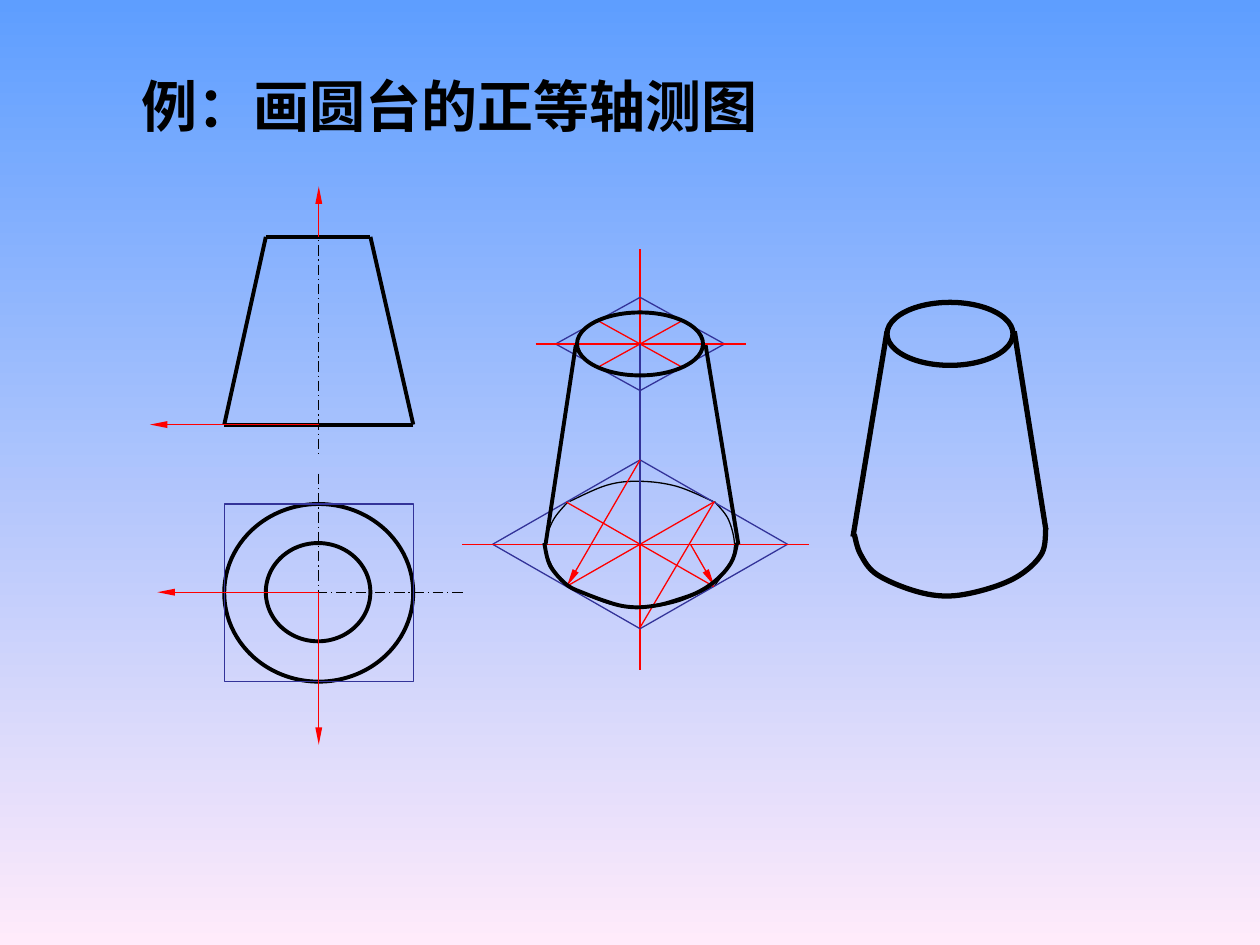
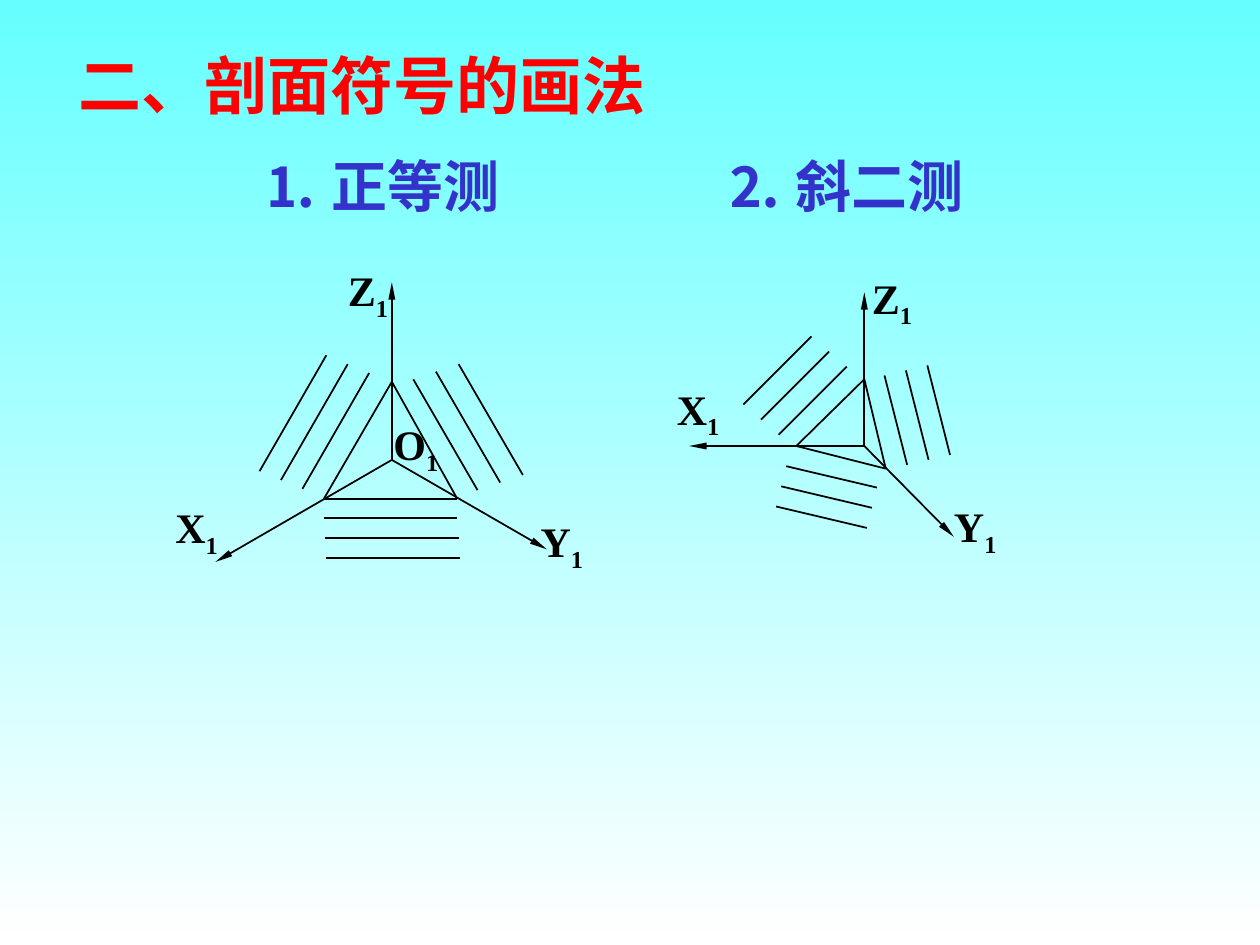
from dataclasses import dataclass

from lxml import etree
from pptx import Presentation
from pptx import util as u
from pptx.dml.color import RGBColor
from pptx.enum import dml, shapes, text
from pptx.oxml.ns import qn


@dataclass(frozen=True)
class Theme:
    font: str = "Times New Roman"
    black: str = "000000"
    red: str = "FF0000"
    navy: str = "333399"
    blue: str = "3333CC"
    sky: tuple = ("5E9EFF", "FFEBFA")
    aqua: tuple = ("66FFFF", "FFFFFF")
    head: int = 36
    sub: int = 32
    label: int = 24
    thin: float = 0.75
    axis: float = 1
    thick: float = 2.25
    bold: float = 3


T = Theme()
MID = text.MSO_ANCHOR.MIDDLE
LEFT, CENTER = text.PP_ALIGN.LEFT, text.PP_ALIGN.CENTER


# Slide and text
def add_page(prs, colors):
    slide = prs.slides.add_slide(prs.slide_layouts[5])
    fill = slide.background.fill
    fill.gradient()
    fill.gradient_angle = 270
    for stop, pos, color in zip(fill.gradient_stops, (0, 1), colors):
        stop.position = pos
        stop.color.rgb = RGBColor.from_string(color)
    return slide


def set_text(shape, words, size, color, align=LEFT, anchor=MID, sub=None):
    frame = shape.text_frame
    frame.word_wrap = True
    frame.auto_size = text.MSO_AUTO_SIZE.NONE
    frame.vertical_anchor = anchor
    para = frame.paragraphs[0]
    para.alignment = align
    para.add_run().text = words
    if sub:
        run = para.add_run()
        run.text = sub
        run._r.get_or_add_rPr().set("baseline", "-25000")
    font = para.font
    font.name, font.size, font.bold = T.font, u.Pt(size), True
    font.color.rgb = RGBColor.from_string(color)


def set_title(slide, box, words, size, color, anchor=MID):
    title = slide.shapes.title
    title.left, title.top, title.width, title.height = map(u.Inches, box)
    set_text(title, words, size, color, anchor=anchor)


def add_text(slide, box, words, size, color, **opts):
    shape = slide.shapes.add_textbox(*map(u.Inches, box))
    set_text(shape, words, size, color, **opts)


def add_label(slide, x, y, letter):
    add_text(slide, (x, y, 0.6, 0.56), letter, T.label, T.black,
             align=CENTER, sub="1")


# Lines and outlines
def set_line(shape, color, width):
    shape.line.color.rgb = RGBColor.from_string(color)
    shape.line.width = u.Pt(width)


def add_line(slide, start, end, color=T.black, width=T.thin,
             arrow=False, dash=False):
    line = slide.shapes.add_connector(
        shapes.MSO_CONNECTOR.STRAIGHT, *map(u.Inches, (*start, *end)))
    set_line(line, color, width)
    if dash:
        line.line.dash_style = dml.MSO_LINE.LONG_DASH_DOT
    if arrow:
        etree.SubElement(line.line._get_or_add_ln(), qn("a:tailEnd"),
                         type="triangle", w="sm", len="lg")
    etree.SubElement(line._element.spPr, qn("a:effectLst"))


def add_loop(slide, points, color=T.black, width=T.thin):
    for start, end in zip(points, points[1:] + points[:1]):
        add_line(slide, start, end, color, width)


def add_shape(slide, kind, box, color=T.black, width=T.thick):
    shape = slide.shapes.add_shape(kind, *map(u.Inches, box))
    shape.shadow.inherit = False
    shape.fill.background()
    set_line(shape, color, width)


def add_oval(slide, *box, width=T.thick):
    add_shape(slide, shapes.MSO_SHAPE.OVAL, box, width=width)


def bend(curve):
    """Turn the straight segments of a freeform into smooth Bezier ones."""
    route = curve._element.find(".//" + qn("a:path"))
    knots = [(int(p.get("x")), int(p.get("y")))
             for p in route.iter(qn("a:pt"))]
    for seg in route.findall(qn("a:lnTo")):
        route.remove(seg)
    ends = [knots[0], *knots, knots[-1]]
    for a, b, c, d in zip(ends, ends[1:], ends[2:], ends[3:]):
        out = [q + (r - p) / 6 for p, q, r in zip(a, b, c)]
        back = [q - (r - p) / 6 for p, q, r in zip(b, c, d)]
        seg = etree.SubElement(route, qn("a:cubicBezTo"))
        for x, y in (out, back, c):
            etree.SubElement(seg, qn("a:pt"), x=str(round(x)), y=str(round(y)))


def add_curve(slide, knots, width=T.thin):
    points = [(u.Inches(x), u.Inches(y)) for x, y in knots]
    build = slide.shapes.build_freeform(*points[0], scale=1)
    build.add_line_segments(points[1:], close=False)
    curve = build.convert_to_shape()
    bend(curve)
    curve.shadow.inherit = False
    curve.fill.background()
    set_line(curve, T.black, width)


# Parts of the cone drawing
def draw_views(slide):
    x, y = 2.53, 4.7
    for start, end in (((x, 1.64), (x, 3.61)), ((1.44, y), (3.69, y)),
                       ((x, 3.76), (x, 5.57))):
        add_line(slide, start, end, dash=True)
    add_loop(slide, [(2.11, 1.88), (2.94, 1.88), (3.28, 3.37), (1.78, 3.37)],
             width=T.thick)
    add_oval(slide, 1.78, 4, 1.5, 1.41)
    add_oval(slide, 2.11, 4.31, 0.83, 0.78)
    add_shape(slide, shapes.MSO_SHAPE.RECTANGLE, (1.78, 4, 1.5, 1.41),
              T.navy, T.thin)
    for start, end in (((x, y), (x, 5.91)), ((x, 1.88), (x, 1.48)),
                       ((x, 3.37), (1.19, 3.37)), ((x, y), (1.25, y))):
        add_line(slide, start, end, T.red, arrow=True)


def draw_rhomb(slide, x, y, dx, dy, left, right):
    """Rhombus with its mid lines and horizontal axis."""
    add_loop(slide, [(x - dx, y), (x, y - dy), (x + dx, y), (x, y + dy)],
             T.navy)
    for side in (dy / 2, -dy / 2):
        add_line(slide, (x - dx / 2, y - side), (x + dx / 2, y + side), T.red)
    add_line(slide, (left, y), (right, y), T.red)


def draw_cone(slide):
    x, top, base = 5.08, 2.73, 4.32
    for arc in (
        [(4.52, 3.98), (4.82, 3.85), (5.08, 3.82), (5.37, 3.86), (5.66, 3.98)],
        [(4.5, 4.65), (4.83, 4.79), (5.08, 4.82), (5.37, 4.78), (5.67, 4.65)],
        [(5.67, 4.65), (5.79, 4.48), (5.83, 4.32), (5.78, 4.12), (5.67, 3.98)],
        [(4.5, 4.65), (4.38, 4.49), (4.33, 4.32), (4.39, 4.13), (4.51, 3.98)],
    ):
        add_curve(slide, arc)
    add_line(slide, (x, 1.98), (x, 5.32), T.red)
    draw_rhomb(slide, x, base, 1.17, 0.67, 3.67, 6.42)
    draw_rhomb(slide, x, top, 0.67, 0.37, 4.25, 5.92)
    add_line(slide, (x, top), (x, base), T.navy)
    # Compass radii of the four arcs
    add_line(slide, (x, 4.98), (5.67, 3.98), T.red)
    add_line(slide, (x, 3.65), (4.5, 4.65), T.red, arrow=True)
    add_line(slide, (5.48, base), (5.67, 4.65), T.red, arrow=True)
    # Visible outline
    add_curve(slide, [
        (4.32, 4.31), (4.35, 4.45), (4.4, 4.54), (4.51, 4.65), (4.64, 4.71),
        (4.8, 4.77), (4.94, 4.81), (5.08, 4.82), (5.24, 4.8), (5.38, 4.76),
        (5.52, 4.71), (5.64, 4.64), (5.74, 4.55), (5.8, 4.47), (5.83, 4.4),
        (5.85, 4.31)], T.thick)
    for width in (T.thin, T.thick):
        add_oval(slide, 4.58, 2.48, 1, 0.5, width=width)
        add_line(slide, (4.57, 2.74), (4.33, base), width=width)
        add_line(slide, (5.6, 2.74), (5.86, base), width=width)


def draw_result(slide):
    add_curve(slide, [
        (6.78, 4.24), (6.83, 4.4), (6.96, 4.56), (7.26, 4.69), (7.54, 4.73),
        (7.85, 4.67), (8.1, 4.56), (8.27, 4.39), (8.3, 4.19)], T.bold)
    add_oval(slide, 7.04, 2.4, 1, 0.5, width=T.bold)
    add_line(slide, (7.04, 2.63), (6.77, 4.26), width=T.bold)
    add_line(slide, (8.05, 2.63), (8.3, 4.2), width=T.bold)


# Parts of the hatching drawings
def draw_axes(slide, origin, tips, labels):
    for tip in tips:
        add_line(slide, origin, tip, width=T.axis, arrow=True)
    for letter, x, y in labels:
        add_label(slide, x, y, letter)


def draw_hatch(slide, start, step, run, count=3):
    for i in range(count):
        x, y = (s + i * d for s, d in zip(start, step))
        add_line(slide, (x, y), (x + run[0], y + run[1]), width=T.axis)


def draw_iso(slide):
    add_text(slide, (1.99, 1.15, 2.1, 0.64), "⒈ 正等测", T.sub, T.blue)
    draw_axes(slide, (3.11, 3.65), [(3.11, 2.24), (1.71, 4.46), (4.34, 4.36)],
              [("Y", 4.16, 4.04), ("X", 1.26, 3.93), ("Z", 2.62, 2.05),
               ("O", 3, 3.27)])
    add_loop(slide, [(3.11, 3.03), (2.57, 3.96), (3.63, 3.96)], width=T.axis)
    draw_hatch(slide, (2.93, 2.96), (-0.17, -0.07), (-0.53, 0.92))
    draw_hatch(slide, (3.28, 3.01), (0.18, -0.06), (0.51, 0.88))
    draw_hatch(slide, (2.57, 4.11), (0.01, 0.16), (1.06, 0))


def draw_oblique(slide):
    add_text(slide, (5.66, 1.15, 2.1, 0.64), "⒉ 斜二测", T.sub, T.blue,
             align=CENTER)
    draw_axes(slide, (6.86, 3.54), [(5.47, 3.54), (6.86, 2.32), (7.57, 4.26)],
              [("Z", 6.78, 2.11), ("X", 5.24, 2.99), ("Y", 7.44, 3.92)])
    add_loop(slide, [(6.86, 3.01), (6.32, 3.54), (7.03, 3.72)], width=T.axis)
    draw_hatch(slide, (6.72, 2.91), (-0.14, -0.12), (-0.54, 0.54))
    draw_hatch(slide, (7.02, 2.98), (0.17, -0.04), (0.18, 0.71))
    draw_hatch(slide, (6.24, 3.7), (-0.04, 0.16), (0.72, 0.17))


def main():
    prs = Presentation()
    prs.slide_width, prs.slide_height = u.Inches(10), u.Inches(7.5)

    # Cone frustum
    slide = add_page(prs, T.sky)
    set_title(slide, (1.02, 0.52, 5.3, 0.64), "例：画圆台的正等轴测图",
              T.sub, T.black, text.MSO_ANCHOR.TOP)
    draw_views(slide)
    draw_cone(slide)
    draw_result(slide)

    # Section hatching
    slide = add_page(prs, T.aqua)
    set_title(slide, (0.52, 0.32, 4.9, 0.7), "二、剖面符号的画法",
              T.head, T.red)
    draw_iso(slide)
    draw_oblique(slide)

    prs.save("out.pptx")


if __name__ == "__main__":
    main()
